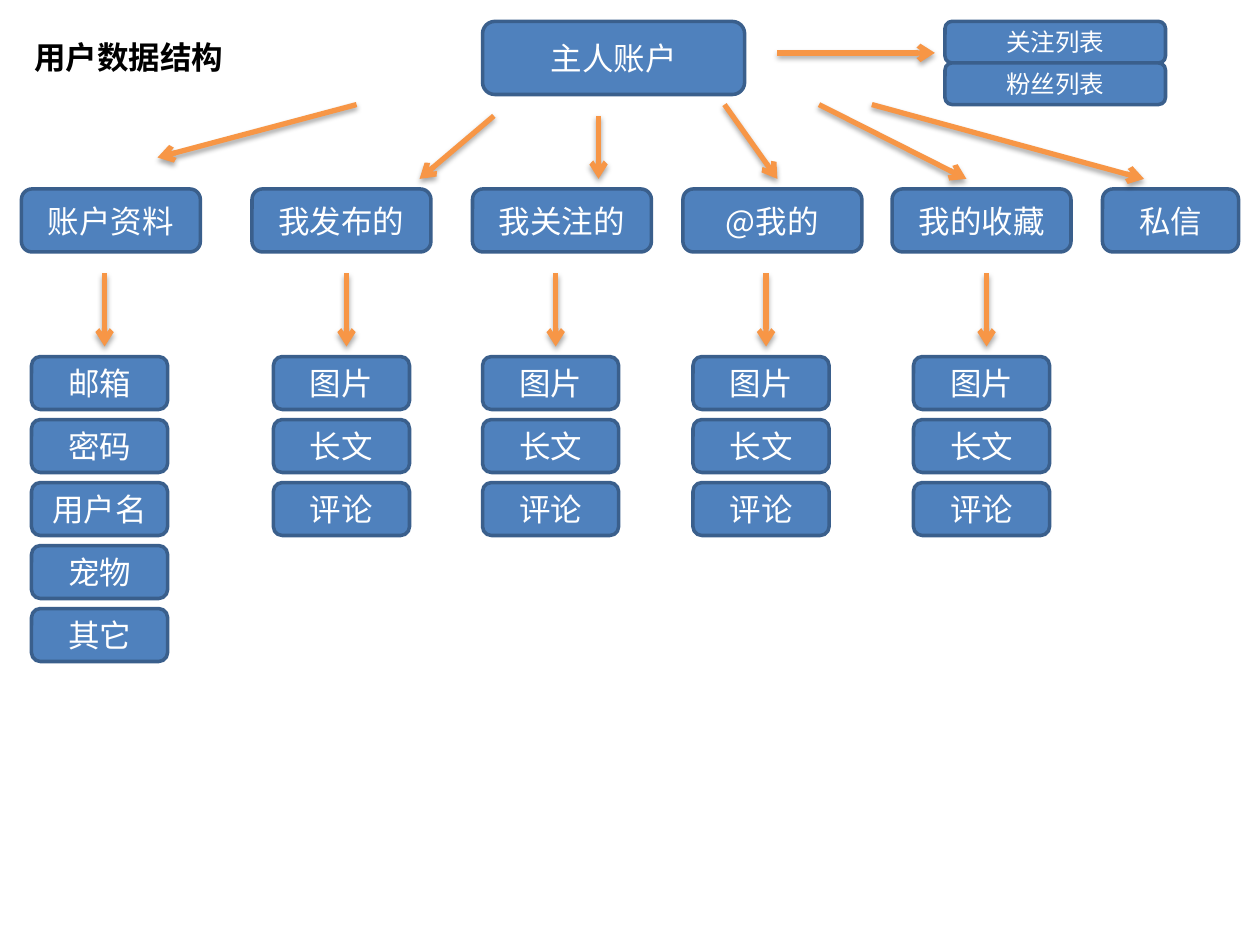
from dataclasses import dataclass

from pptx import Presentation
from pptx.dml.color import RGBColor as RGB
from pptx.enum.shapes import MSO_CONNECTOR as Link, MSO_SHAPE as Shape
from pptx.enum.text import MSO_ANCHOR as Anchor, PP_ALIGN as Align
from pptx.oxml import parse_xml
from pptx.oxml.ns import nsdecls
from pptx.util import Inches, Pt


@dataclass
class Theme:
    """Colours, type and line sizes of the slide."""
    font: str = "Noto Sans CJK SC"
    blue: RGB = RGB(0x4F, 0x81, 0xBD)
    edge: RGB = RGB(0x3A, 0x5F, 0x8C)
    orange: RGB = RGB(0xF7, 0x96, 0x46)
    white: RGB = RGB(0xFF, 0xFF, 0xFF)
    black: RGB = RGB(0, 0, 0)
    body: int = 18
    small: int = 14


theme = Theme()
SHADOW = (
    f'<a:effectLst {nsdecls("a")}><a:outerShdw blurRad="{Pt(3.1)}" dist="{Pt(1.8)}" '
    'dir="5400000" rotWithShape="0"><a:srgbClr val="000000"><a:alpha val="35000"/>'
    '</a:srgbClr></a:outerShdw></a:effectLst>'
)

deck = Presentation()
deck.slide_width, deck.slide_height = Inches(10), Inches(7.5)
slide = deck.slides.add_slide(deck.slide_layouts[5])
shapes = slide.shapes


def write(shape, text, size, color, align, bold=False):
    """Put one styled line of text, centred in height, in a shape."""
    frame = shape.text_frame
    frame.text = text
    frame.word_wrap = True
    frame.vertical_anchor = Anchor.MIDDLE
    line = frame.paragraphs[0]
    line.alignment = align
    font = line.runs[0].font
    font.name, font.size, font.bold = theme.font, Pt(size), bold
    font.color.rgb = color
    props = line.runs[0]._r.get_or_add_rPr()
    props.append(parse_xml(f'<a:ea {nsdecls("a")} typeface="{theme.font}"/>'))


title = shapes.title
title.left, title.top = Inches(0.17), Inches(0.25)
title.width, title.height = Inches(1.75), Inches(0.4)
write(title, "用户数据结构", theme.body, theme.black, Align.LEFT, True)

# Each box: text, left, top, width, height, type size
boxes = [("主人账户", 3.83, 0.17, 2.08, 0.58, theme.body)]
for row, text in enumerate(["关注列表", "粉丝列表"]):
    boxes.append((text, 7.5, 0.17 + row * 0.33, 1.75, 0.33, theme.small))

# Each arrow: start x, start y, end x, end y
arrows = [(6.17, 0.42, 7.42, 0.42)]

account = ["邮箱", "密码", "用户名", "宠物", "其它"]
posts = ["图片", "长文", "评论"]
# Each branch: head, left, width, arrow from the owner, left of the items, items
branches = [
    ("账户资料", 0.17, 1.42, (2.83, 0.83, 1.25, 1.25), 0.25, account),
    ("我发布的", 2, 1.42, (3.92, 0.92, 3.33, 1.42), 2.17, posts),
    ("我关注的", 3.75, 1.42, (4.75, 0.92, 4.75, 1.42), 3.83, posts),
    ("@我的", 5.42, 1.42, (5.75, 0.83, 6.17, 1.42), 5.5, posts),
    ("我的收藏", 7.08, 1.42, (6.5, 0.83, 7.67, 1.42), 7.25, posts),
    ("私信", 8.75, 1.08, (6.92, 0.83, 9.08, 1.42), 0, []),
]
for head, left, width, arrow, inner, items in branches:
    boxes.append((head, left, 1.5, width, 0.5, theme.body))
    arrows.append(arrow)
    if items:
        mid = inner + 0.58
        arrows.append((mid, 2.17, mid, 2.75))
    for row, text in enumerate(items):
        boxes.append((text, inner, 2.83 + row * 0.5, 1.08, 0.42, theme.body))

for text, left, top, width, height, size in boxes:
    box = shapes.add_shape(Shape.ROUNDED_RECTANGLE, Inches(left), Inches(top),
                           Inches(width), Inches(height))
    box.shadow.inherit = False
    box.fill.solid()
    box.fill.fore_color.rgb = theme.blue
    box.line.color.rgb = theme.edge
    box.line.width = Pt(2)
    write(box, text, size, theme.white, Align.CENTER)

for ends in arrows:
    arrow = shapes.add_connector(Link.STRAIGHT, *map(Inches, ends))
    arrow.line.color.rgb = theme.orange
    arrow.line.width = Pt(3)
    arrow.line._get_or_add_ln().append(
        parse_xml(f'<a:tailEnd {nsdecls("a")} type="arrow"/>'))
    arrow._element.spPr.append(parse_xml(SHADOW))

deck.save("out.pptx")
